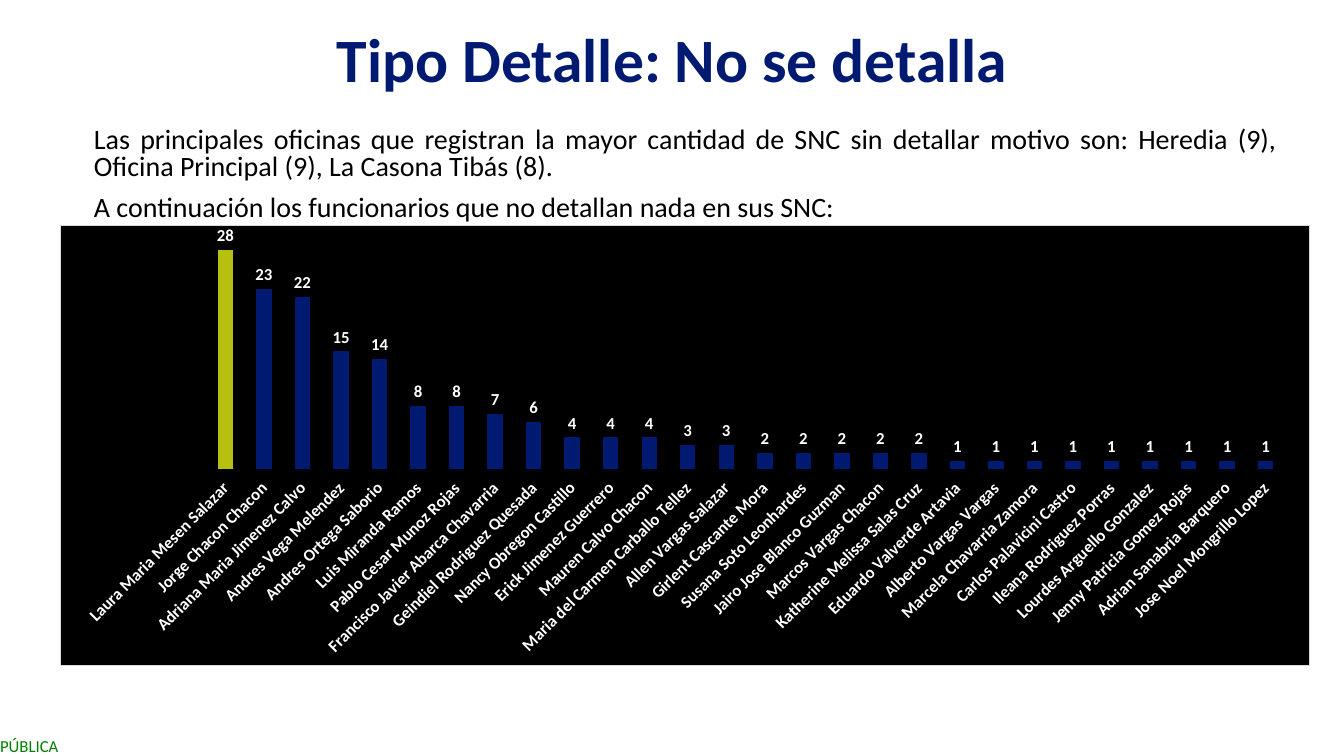
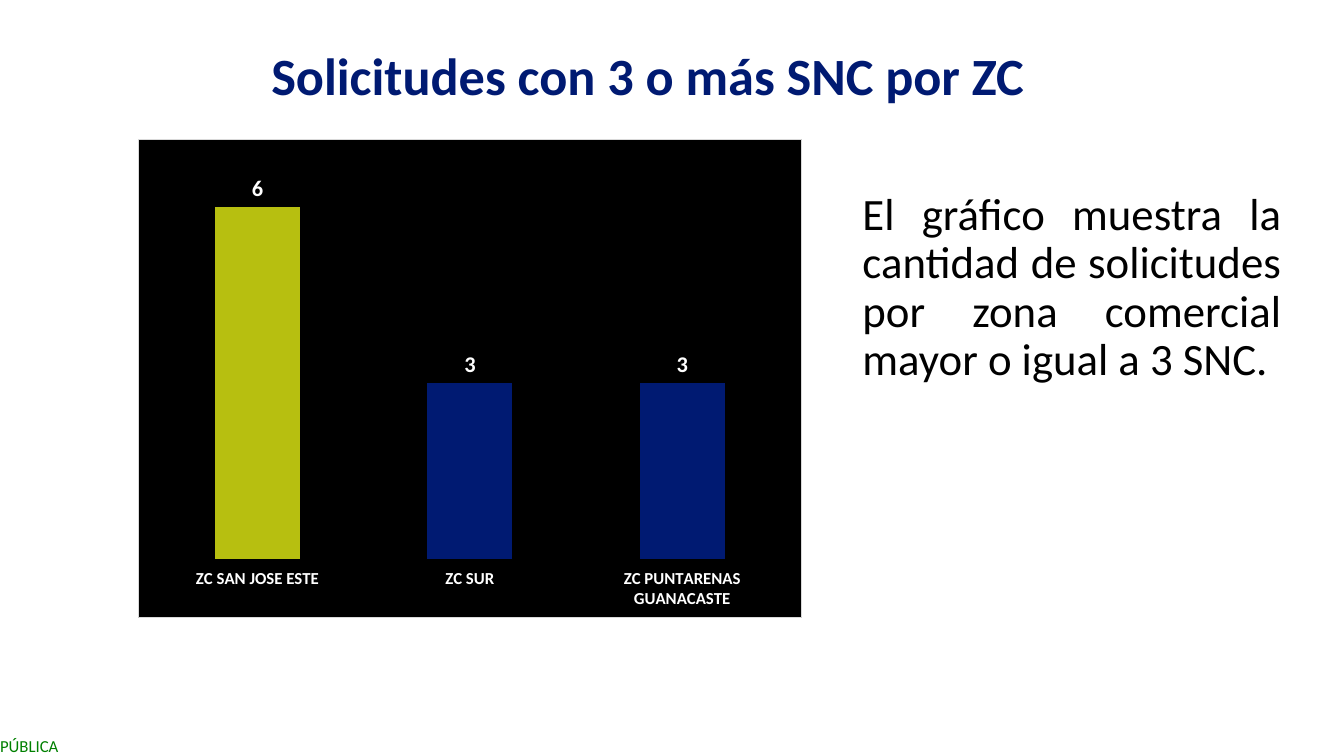
"""Two slides on SNC requests: by staff member and by commercial zone."""
from dataclasses import dataclass

from lxml.etree import fromstring
from pptx import Presentation
from pptx.chart.data import CategoryChartData as ChartData
from pptx.dml.color import RGBColor as Rgb
from pptx.enum.chart import XL_CHART_TYPE as ChartType, XL_LABEL_POSITION as LabelPos
from pptx.enum.chart import XL_TICK_LABEL_POSITION as TickPos, XL_TICK_MARK as Tick
from pptx.enum.text import MSO_ANCHOR as Anchor, MSO_AUTO_SIZE as AutoSize, PP_ALIGN as Align
from pptx.util import Emu, Pt

PX = 9525
FRAME_XML = (
    '<c:spPr xmlns:c="http://schemas.openxmlformats.org/drawingml/2006/chart"'
    ' xmlns:a="http://schemas.openxmlformats.org/drawingml/2006/main">'
    '<a:solidFill><a:srgbClr val="{fill}"/></a:solidFill>'
    '<a:ln w="{width}"><a:solidFill><a:srgbClr val="{line}"/></a:solidFill></a:ln></c:spPr>'
)


@dataclass(frozen=True)
class Theme:
    """Colours, type face and type sizes of the deck."""
    font: str = "Calibri"
    navy: str = "001A72"
    lime: str = "B7BF10"
    green: str = "008000"
    black: str = "000000"
    white: str = "FFFFFF"
    border: str = "D9D9D9"
    small: float = 12
    label: float = 16
    body: float = 20
    large: float = 32
    heading: float = 37.4
    title: float = 44


def px(*lengths):
    """Turn whole pixels into EMU."""
    return [Emu(length * PX) for length in lengths]


def assign(target, **values):
    """Set each given attribute on the target."""
    for key, value in values.items():
        setattr(target, key, value)


class Deck:
    """Holds the theme, the presentation and the current slide."""

    def __init__(self, theme):
        """Start an empty wide presentation."""
        self.theme = theme
        self.show = Presentation()
        self.show.slide_width, self.show.slide_height = px(1280, 720)
        self.slide = None

    def style(self, font, size, color, bold=False):
        """Give a font the deck face, a size and a colour."""
        assign(font, name=self.theme.font, size=Pt(size), bold=bold)
        font.color.rgb = Rgb.from_string(color)

    def text(self, box, lines, size, color, bold=False, frame=None, paragraph=None):
        """Add a text box with one paragraph per line."""
        text_frame = self.slide.shapes.add_textbox(*px(*box)).text_frame
        assign(text_frame, **{"word_wrap": True, **(frame or {})})
        for index, line in enumerate(lines):
            part = text_frame.add_paragraph() if index else text_frame.paragraphs[0]
            assign(part, **(paragraph or {}))
            run = part.add_run()
            run.text = line
            self.style(run.font, size, color, bold)

    def page(self):
        """Open a blank slide with the classification mark."""
        self.slide = self.show.slides.add_slide(self.show.slide_layouts[6])
        margins = dict.fromkeys(("margin_left", "margin_top", "margin_right", "margin_bottom"), 0)
        self.text((0, 701, 80, 19), ["PÚBLICA"], self.theme.small, self.theme.green,
                  frame={**margins, "auto_size": AutoSize.SHAPE_TO_FIT_TEXT})

    def title(self, left, top, wording, size, spacing):
        """Add the centred slide title."""
        self.text((left, top, 791, 89), [wording], size, self.theme.navy, True,
                  {"vertical_anchor": Anchor.BOTTOM},
                  {"alignment": Align.CENTER, "line_spacing": spacing})

    def body(self, box, lines, size, spacing):
        """Add justified running text."""
        self.text(box, lines, size, self.theme.black, paragraph={
            "alignment": Align.JUSTIFY, "line_spacing": spacing, "space_before": Pt(10)})

    def columns(self, box, counts, label_size):
        """Add a column chart on black with its first column highlighted."""
        theme = self.theme
        data = ChartData()
        data.categories = list(counts)
        data.add_series("SNC", counts.values())
        chart = self.slide.shapes.add_chart(
            ChartType.COLUMN_CLUSTERED, *px(*box), data).chart
        assign(chart, has_legend=False, has_title=False)
        self.style(chart.font, 10, theme.black)
        frame = FRAME_XML.format(fill=theme.black, line=theme.border, width=PX)
        chart.element.chart.addnext(fromstring(frame))

        names = chart.category_axis
        assign(names, major_tick_mark=Tick.NONE, minor_tick_mark=Tick.NONE,
               has_major_gridlines=False, tick_label_position=TickPos.LOW)
        names.format.line.fill.background()
        self.style(names.tick_labels.font, theme.small, theme.white, True)
        assign(chart.value_axis, visible=False, has_major_gridlines=False, minimum_scale=0)

        plot = chart.plots[0]
        assign(plot, gap_width=150, vary_by_categories=False, has_data_labels=True)
        assign(plot.data_labels, show_value=True, position=LabelPos.OUTSIDE_END)
        self.style(plot.data_labels.font, label_size, theme.white, True)
        series = plot.series[0]
        for part, color in ((series, theme.navy), (series.points[0], theme.lime)):
            part.format.fill.solid()
            part.format.fill.fore_color.rgb = Rgb.from_string(color)


STAFF = {
    "Laura Maria Mesen Salazar": 28,
    "Jorge Chacon Chacon": 23,
    "Adriana Maria Jimenez Calvo": 22,
    "Andres Vega Melendez": 15,
    "Andres Ortega Saborio": 14,
    "Luis Miranda Ramos": 8,
    "Pablo Cesar Munoz Rojas": 8,
    "Francisco Javier Abarca Chavarria": 7,
    "Geindiel Rodriguez Quesada": 6,
    "Nancy Obregon Castillo": 4,
    "Erick Jimenez Guerrero": 4,
    "Mauren Calvo Chacon": 4,
    "Maria del Carmen Carballo Tellez": 3,
    "Allen Vargas Salazar": 3,
    "Girlent Cascante Mora": 2,
    "Susana Soto Leonhardes": 2,
    "Jairo Jose Blanco Guzman": 2,
    "Marcos Vargas Chacon": 2,
    "Katherine Melissa Salas Cruz": 2,
    "Eduardo Valverde Artavia": 1,
    "Alberto Vargas Vargas": 1,
    "Marcela Chavarria Zamora": 1,
    "Carlos Palavicini Castro": 1,
    "Ileana Rodriguez Porras": 1,
    "Lourdes Arguello Gonzalez": 1,
    "Jenny Patricia Gomez Rojas": 1,
    "Adrian Sanabria Barquero": 1,
    "Jose Noel Mongrillo Lopez": 1,
}
ZONES = {"ZC SAN JOSE ESTE": 6, "ZC SUR": 3, "ZC PUNTARENAS GUANACASTE": 3}


def main():
    """Build and save both slides."""
    theme = Theme()
    deck = Deck(theme)

    deck.page()
    deck.title(245, 7, "Tipo Detalle: No se detalla", theme.title, 0.9)
    deck.columns((57, 214, 1191, 420), STAFF, theme.small)
    deck.body((80, 117, 1146, 97), [
        "Las principales oficinas que registran la mayor cantidad de SNC sin detallar motivo "
        "son: Heredia (9), Oficina Principal (9), La Casona Tibás (8).",
        "A continuación los funcionarios que no detallan nada en sus SNC:",
    ], theme.body, 0.8)

    deck.page()
    deck.title(222, 16, "Solicitudes con 3 o más SNC por ZC", theme.heading, 0.8)
    deck.body((812, 178, 418, 436), [
        "El gráfico muestra la cantidad de solicitudes por zona comercial mayor o igual a 3 SNC.",
    ], theme.large, 0.9)
    deck.columns((131, 132, 633, 457), ZONES, theme.label)

    deck.show.save("out.pptx")


if __name__ == "__main__":
    main()
